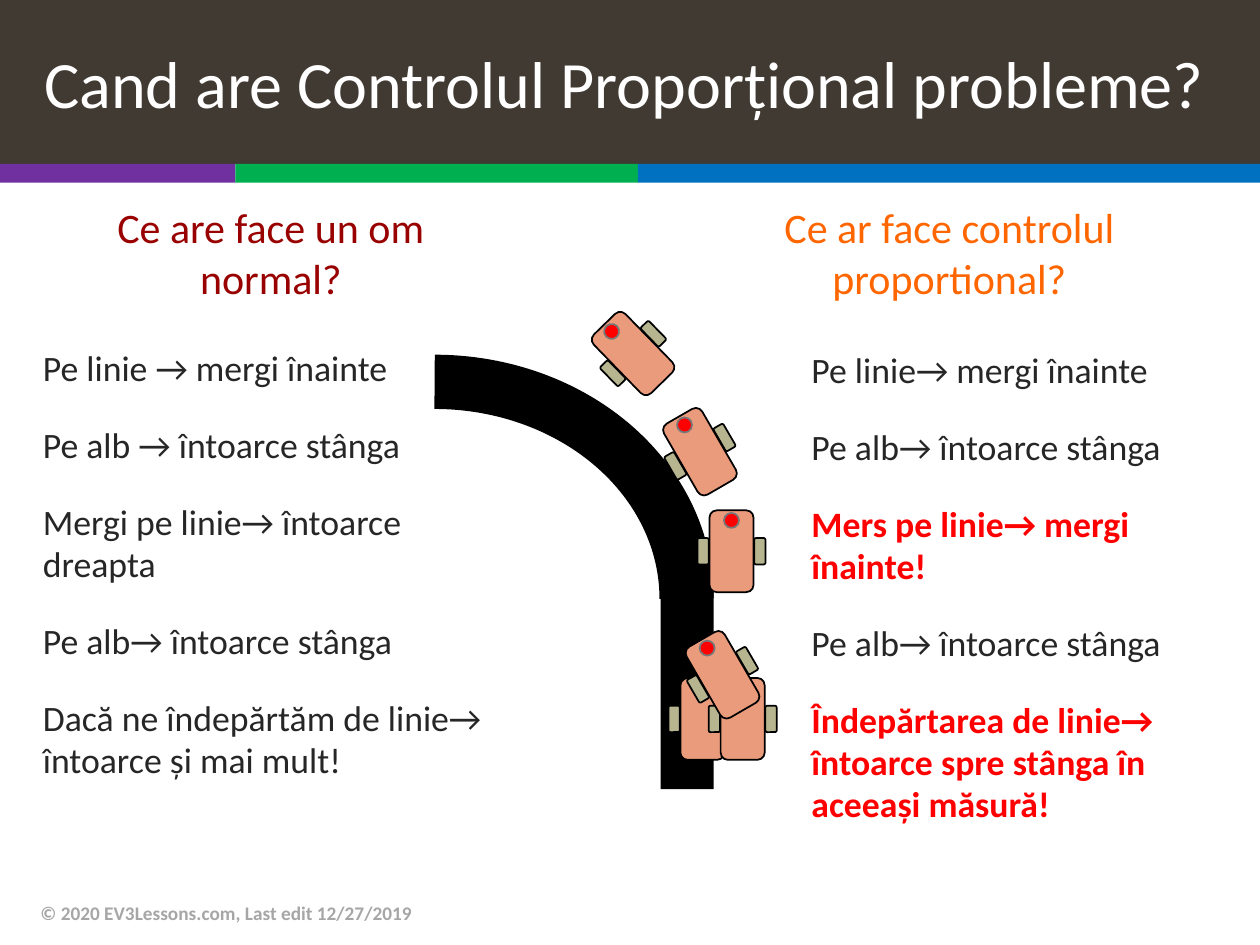
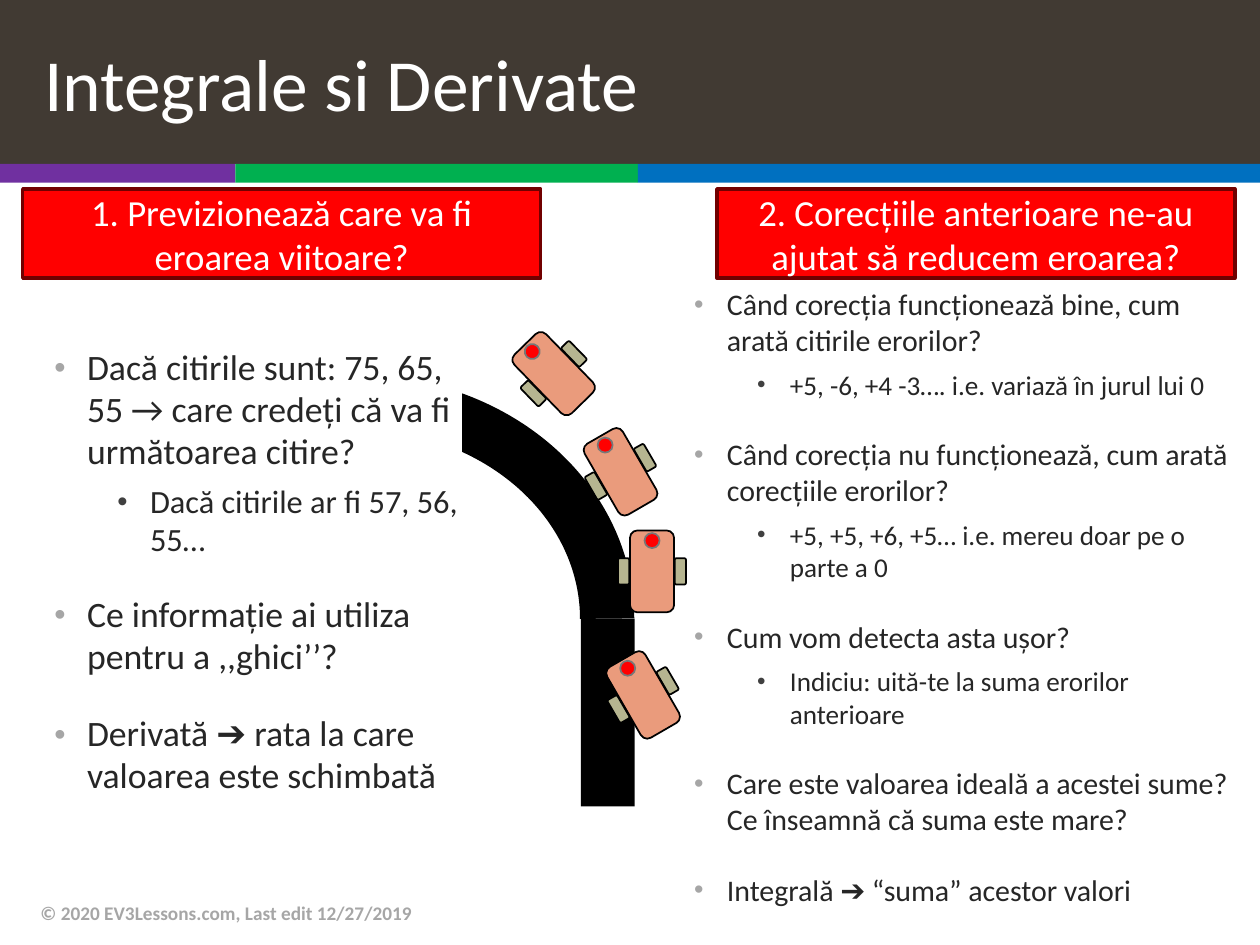
"""Build two slides on proportional control and the idea behind integrals and derivatives."""
from dataclasses import dataclass
from typing import NamedTuple, Optional

from lxml.etree import SubElement
from pptx import Presentation
from pptx.dml.color import RGBColor
from pptx.enum.shapes import MSO_SHAPE
from pptx.enum.text import MSO_ANCHOR, MSO_AUTO_SIZE, PP_ALIGN
from pptx.oxml.ns import qn
from pptx.util import Pt

WHITE = RGBColor(0xFF, 0xFF, 0xFF)
BLACK = RGBColor(0x00, 0x00, 0x00)
RED = RGBColor(0xFF, 0x00, 0x00)
TITLE_BROWN = RGBColor(0x41, 0x3A, 0x33)
PURPLE = RGBColor(0x70, 0x30, 0xA0)
GREEN = RGBColor(0x00, 0xB0, 0x50)
BLUE = RGBColor(0x00, 0x70, 0xC0)
INK = RGBColor(0x26, 0x26, 0x26)
MAROON = RGBColor(0x99, 0x00, 0x00)
ORANGE = RGBColor(0xFF, 0x66, 0x00)
DARK_RED = RGBColor(0x71, 0x00, 0x00)
FOOTER_GREY = RGBColor(0xA6, 0xA6, 0xA6)
CHASSIS = RGBColor(0xEA, 0x9B, 0x7C)
WHEEL = RGBColor(0xB6, 0xB5, 0x90)
SENSOR_EDGE = RGBColor(0x77, 0x77, 0x77)

FONT = "Calibri"
SLIDE_WIDTH, SLIDE_HEIGHT = 720, 540
TITLE_HEIGHT = 93.6
BAND_HEIGHT = 10.8
BANDS = ((0, PURPLE), (134.5, GREEN), (364.5, BLUE))
FOOTER = "© 2020 EV3Lessons.com, Last edit 12/27/2019"
BULLET_INDENT = 18.7
BULLET_LEFTS = (18.7, 54.7)
BULLET_COLORS = ("A6A6A6", "404040")
SPACES_BEFORE = (20, 6)


class Box(NamedTuple):
    left: float
    top: float
    width: float
    height: float

    def lengths(self) -> tuple:
        return tuple(Pt(value) for value in self)


class Point(NamedTuple):
    x: float
    y: float


@dataclass(frozen=True)
class Item:
    text: str
    size: float
    level: int = 0
    color: RGBColor = INK
    bold: bool = False
    bulleted: bool = False


@dataclass(frozen=True)
class Robot:
    x: float
    y: float
    turn: float = 0
    right_wheel: bool = True


CURVE_ROBOTS = (
    Robot(308.5, 167.4, 330),
    Robot(313.6, 96.8),
    Robot(295.6, 39.9, 330),
    Robot(257.4, -16.2, 315.8),
)


def format_runs(paragraph, size: float, color: RGBColor, bold: bool = False) -> None:
    for run in paragraph.runs:
        run.font.name = FONT
        run.font.size = Pt(size)
        run.font.bold = bold
        run.font.color.rgb = color


def set_bullet(paragraph, level: int, bulleted: bool) -> None:
    properties = paragraph._p.get_or_add_pPr()
    left = BULLET_LEFTS[level] if bulleted else 0
    indent = -BULLET_INDENT if bulleted else 0
    properties.set("marL", str(Pt(left)))
    properties.set("indent", str(Pt(indent)))
    if not bulleted:
        SubElement(properties, qn("a:buNone"))
        return
    color = SubElement(properties, qn("a:buClr"))
    SubElement(color, qn("a:srgbClr"), val=BULLET_COLORS[level])
    SubElement(properties, qn("a:buSzPct"), val="90000")
    SubElement(properties, qn("a:buFont"), typeface="Arial")
    SubElement(properties, qn("a:buChar"), char="•")


def place(shape, box: Box) -> None:
    shape.left, shape.top, shape.width, shape.height = box.lengths()


def add_shape(shapes, kind, box: Box, fill: Optional[RGBColor],
              line: Optional[RGBColor] = None, weight: float = 1):
    shape = shapes.add_shape(kind, *box.lengths())
    shape.shadow.inherit = False
    if fill is None:
        shape.fill.background()
    else:
        shape.fill.solid()
        shape.fill.fore_color.rgb = fill
    if line is None:
        shape.line.fill.background()
    else:
        shape.line.color.rgb = line
        shape.line.width = Pt(weight)
    return shape


def start_slide(deck, layout: int, title: str, size: float):
    slide = deck.slides.add_slide(deck.slide_layouts[layout])
    ends = [left for left, _ in BANDS[1:]] + [SLIDE_WIDTH]
    for (left, color), end in zip(BANDS, ends):
        band = Box(left, TITLE_HEIGHT, end - left, BAND_HEIGHT)
        add_shape(slide.shapes, MSO_SHAPE.RECTANGLE, band, color)

    heading = slide.shapes.title
    place(heading, Box(0, 0, SLIDE_WIDTH, TITLE_HEIGHT))
    heading.fill.solid()
    heading.fill.fore_color.rgb = TITLE_BROWN
    frame = heading.text_frame
    frame.text = title
    frame.auto_size = MSO_AUTO_SIZE.NONE
    frame.vertical_anchor = MSO_ANCHOR.MIDDLE
    line = frame.paragraphs[0]
    line.alignment = PP_ALIGN.LEFT
    line._p.get_or_add_pPr().set("marL", str(Pt(18)))
    format_runs(line, size, WHITE)

    credit = slide.shapes.add_textbox(*Box(16, 507, 482, 29).lengths()).text_frame
    credit.word_wrap = True
    credit.vertical_anchor = MSO_ANCHOR.MIDDLE
    credit.text = FOOTER
    format_runs(credit.paragraphs[0], 11, FOOTER_GREY, bold=True)
    return slide


def fill_body(body, box: Box, items: list[Item], spacing: float = 1.0,
              anchor=MSO_ANCHOR.TOP, alignment=PP_ALIGN.LEFT) -> None:
    place(body, box)
    frame = body.text_frame
    frame.auto_size = MSO_AUTO_SIZE.NONE
    frame.vertical_anchor = anchor
    for position, item in enumerate(items):
        paragraph = frame.add_paragraph() if position else frame.paragraphs[0]
        paragraph.text = item.text
        paragraph.level = item.level
        set_bullet(paragraph, item.level, item.bulleted)
        paragraph.alignment = alignment
        paragraph.line_spacing = spacing
        paragraph.space_before = Pt(SPACES_BEFORE[item.level] if position else 0)
        format_runs(paragraph, item.size, item.color, item.bold)


def add_robot(slide, origin: Point, robot: Robot) -> None:
    center = Point(origin.x + robot.x, origin.y + robot.y)
    group = slide.shapes.add_group_shape()

    def add_part(kind, dx: float, dy: float, width: float, height: float,
                 fill: RGBColor, line: RGBColor) -> None:
        box = Box(center.x + dx - width / 2, center.y + dy - height / 2, width, height)
        add_shape(group.shapes, kind, box, fill, line)

    add_part(MSO_SHAPE.ROUNDED_RECTANGLE, 0, 0, 25.2, 46.8, CHASSIS, BLACK)
    for dx in (16.2, -16.2) if robot.right_wheel else (-16.2,):
        add_part(MSO_SHAPE.ROUNDED_RECTANGLE, dx, 0, 6.5, 15.1, WHEEL, BLACK)
    add_part(MSO_SHAPE.OVAL, 0, -17.6, 8.6, 8.6, RED, SENSOR_EDGE)
    group.rotation = robot.turn


def add_track(slide, origin: Point, straight: Box, parked: tuple = ()) -> None:
    add_shape(slide.shapes, MSO_SHAPE.RECTANGLE, straight, BLACK)
    curve = Box(origin.x, origin.y, 288, 247.7)
    add_shape(slide.shapes, MSO_SHAPE.ARC, curve, None, BLACK, 31)
    for robot in parked + CURVE_ROBOTS:
        add_robot(slide, origin, robot)


def add_question(slide, left: float, text: str) -> None:
    box = Box(left, 108, 296, 51)
    panel = add_shape(slide.shapes, MSO_SHAPE.RECTANGLE, box, RED, DARK_RED, 2)
    frame = panel.text_frame
    frame.word_wrap = True
    frame.vertical_anchor = MSO_ANCHOR.MIDDLE
    frame.text = text
    frame.paragraphs[0].alignment = PP_ALIGN.CENTER
    format_runs(frame.paragraphs[0], 21, WHITE)


def build_problem_slide(deck) -> None:
    slide = start_slide(deck, 4, "Cand are Controlul Proporțional probleme?", 37.8)
    headings = (
        (1, Box(46, 142.5, 217.5, 34), "Ce are face un om normal?", MAROON),
        (3, Box(410.5, 142.5, 264, 34), "Ce ar face controlul proportional?", ORANGE),
    )
    for index, box, text, color in headings:
        fill_body(slide.placeholders[index], box, [Item(text, 24, color=color)],
                  anchor=MSO_ANCHOR.BOTTOM, alignment=PP_ALIGN.CENTER)

    human = (
        "Pe linie → mergi înainte",
        "Pe alb → întoarce stânga",
        "Mergi pe linie→ întoarce dreapta",
        "Pe alb→ întoarce stânga",
        "Dacă ne îndepărtăm de linie→ întoarce și mai mult!",
    )
    proportional = (
        ("Pe linie→ mergi înainte", False),
        ("Pe alb→ întoarce stânga", False),
        ("Mers pe linie→ mergi înainte!", True),
        ("Pe alb→ întoarce stânga", False),
        ("Îndepărtarea de linie→ întoarce spre stânga în aceeași măsură!", True),
    )
    fill_body(slide.placeholders[2], Box(17.3, 195, 273, 237.5),
              [Item(text, 20.4) for text in human], 0.98)
    fill_body(slide.placeholders[4], Box(456.5, 196.5, 224.5, 247.5),
              [Item(text, 20.4, color=RED if wrong else INK, bold=wrong)
               for text, wrong in proportional], 0.98)
    parked = (Robot(297, 192.6, right_wheel=False), Robot(320, 192.6))
    add_track(slide, Point(104.4, 218.2), Box(377.5, 335, 30.3, 116), parked)


def build_calculus_slide(deck) -> None:
    slide = start_slide(deck, 3, "Integrale si Derivate", 42)
    derivative = (
        (0, "Dacă citirile sunt: 75, 65, 55 → care credeți că va fi următoarea citire?"),
        (1, "Dacă citirile ar fi 57, 56, 55…"),
        (0, "Ce informație ai utiliza pentru a ,,ghici’’?"),
        (0, "Derivată ➔ rata la care valoarea este schimbată"),
    )
    integral = (
        (0, "Când corecția funcționează bine, cum arată citirile erorilor?"),
        (1, "+5, -6, +4 -3…. i.e. variază în jurul lui 0"),
        (0, "Când corecția nu funcționează, cum arată corecțiile erorilor?"),
        (1, "+5, +5, +6, +5… i.e. mereu doar pe o parte a 0"),
        (0, "Cum vom detecta asta ușor?"),
        (1, "Indiciu: uită-te la suma erorilor anterioare"),
        (0, "Care este valoarea ideală a acestei sume? Ce înseamnă că suma este mare?"),
        (0, "Integrală ➔ “suma” acestor valori"),
    )
    lists = (
        (1, Box(23.8, 194.4, 260, 254), derivative, (20.4, 18.5), 0.98),
        (2, Box(389.5, 159.8, 319.7, 360.7), integral, (17.1, 15.5), 1.0),
    )
    for index, box, lines, sizes, spacing in lists:
        items = [Item(text, sizes[level], level, bulleted=True) for level, text in lines]
        fill_body(slide.placeholders[index], box, items, spacing)

    add_track(slide, Point(59, 229.7), Box(331.9, 353.5, 30.8, 107.3))
    add_question(slide, 13, "1. Previzionează care va fi eroarea viitoare?")
    add_question(slide, 409.7, "2. Corecțiile anterioare ne-au ajutat să reducem eroarea?")
    curve_mask = Box(161.3, 192.2, 101.5, 69.1)
    add_shape(slide.shapes, MSO_SHAPE.RECTANGLE, curve_mask, WHITE, WHITE, 2)
    readings = slide.placeholders[1].element
    readings.getparent().append(readings)


def main() -> None:
    deck = Presentation()
    deck.slide_width, deck.slide_height = Pt(SLIDE_WIDTH), Pt(SLIDE_HEIGHT)
    build_problem_slide(deck)
    build_calculus_slide(deck)
    deck.save("out.pptx")


if __name__ == "__main__":
    main()
